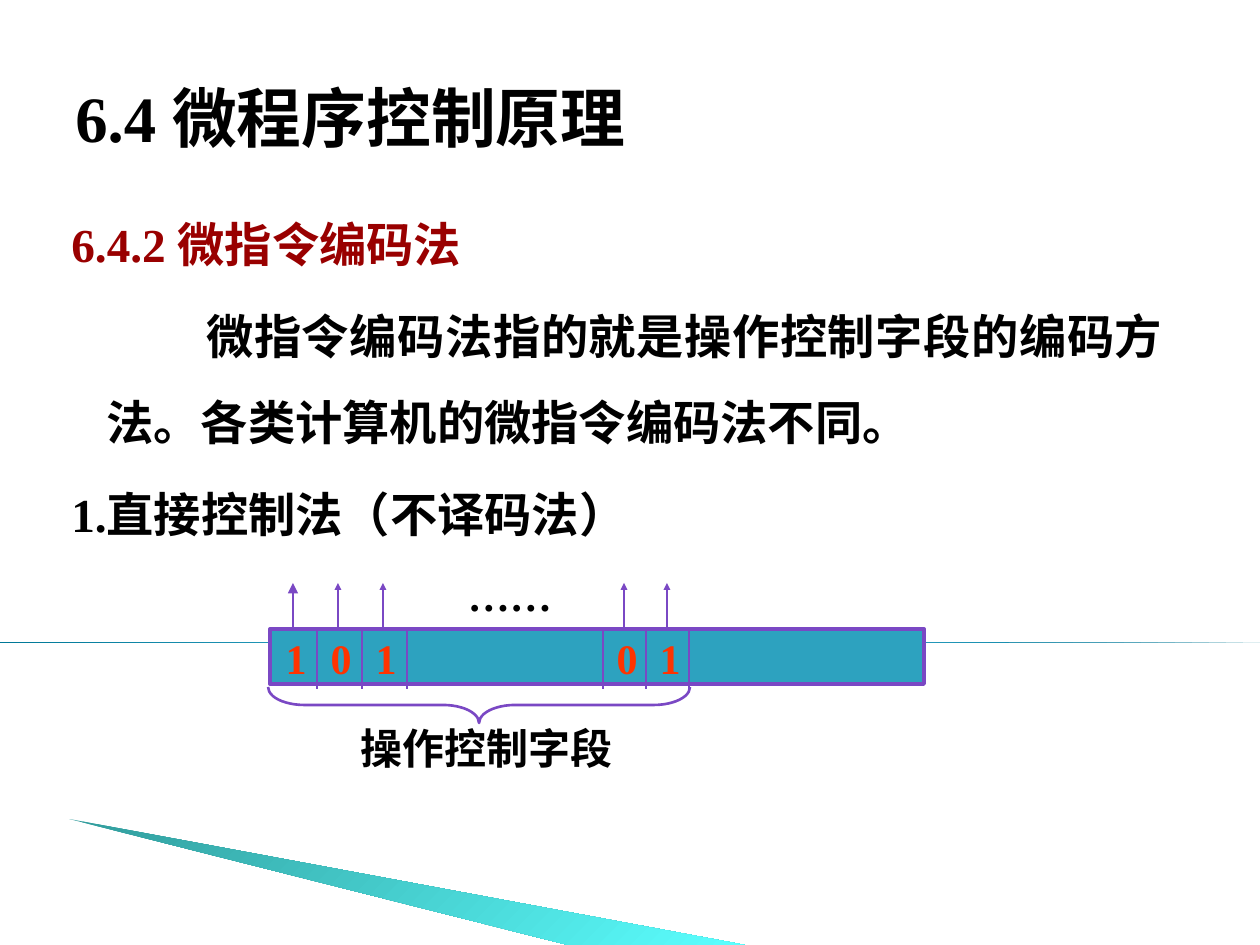
import copy
from dataclasses import dataclass

import lxml.etree
import pptx
import pptx.dml.color
import pptx.enum.shapes
import pptx.enum.text
import pptx.oxml.ns
import pptx.util

PX = 914400 / 126
ALIGN = pptx.enum.text.PP_ALIGN
SHAPE = pptx.enum.shapes.MSO_SHAPE
qn = pptx.oxml.ns.qn


@dataclass(frozen=True)
class Theme:
    latin: str = "Times New Roman"
    cjk: str = "Noto Sans CJK SC"
    ink: str = "000000"
    heading: str = "990000"
    digit: str = "FF3300"
    register: str = "2DA2BF"
    outline: str = "7A48C4"
    rule: tuple = ("007897", "4ABBE0", "007897")
    wedge: tuple = ("319C9C", "5BFFFF")
    title_size: int = 37
    body_size: int = 27
    label_size: int = 24


THEME = Theme()


def px(length):
    return pptx.util.Emu(round(length * PX))


def rgb(value):
    return pptx.dml.color.RGBColor.from_string(value)


def style(paragraph, size, color):
    for run in paragraph.runs:
        run.font.size = pptx.util.Pt(size)
        run.font.bold = True
        run.font.color.rgb = rgb(color)
        run.font.name = THEME.latin
        east_asian = lxml.etree.SubElement(run._r.get_or_add_rPr(), qn("a:ea"))
        east_asian.set("typeface", THEME.cjk)


def add_text_frame(slide, left, top, width, height):
    frame = slide.shapes.add_textbox(px(left), px(top), px(width), px(height)).text_frame
    frame.word_wrap = True
    return frame


def add_label(slide, text, center, top, width, color):
    frame = add_text_frame(slide, center - width / 2, top, width, 63)
    frame.text = text
    frame.paragraphs[0].alignment = ALIGN.CENTER
    style(frame.paragraphs[0], THEME.label_size, color)


def fill_gradient(shape, colors, angle):
    shape.shadow.inherit = False
    shape.line.fill.background()
    shape.fill.gradient()
    shape.fill.gradient_angle = angle
    stop_list = shape._element.spPr.find(".//" + qn("a:gsLst"))
    while len(stop_list) < len(colors):
        stop_list.append(copy.deepcopy(stop_list[-1]))
    for index, (stop, color) in enumerate(zip(shape.fill.gradient_stops, colors)):
        stop.position = index / (len(colors) - 1)
        stop.color.rgb = rgb(color)


def set_outline(shape, width):
    shape.line.color.rgb = rgb(THEME.outline)
    shape.line.width = pptx.util.Pt(width)


def add_line(slide, x, start, end, head=None):
    line = slide.shapes.add_connector(
        pptx.enum.shapes.MSO_CONNECTOR.STRAIGHT, px(x), px(start), px(x), px(end))
    set_outline(line, 1.5)
    properties = line._element.spPr
    if head:
        tail = lxml.etree.SubElement(properties.find(qn("a:ln")), qn("a:tailEnd"))
        for key, value in (("type", "triangle"), ("w", head), ("len", head)):
            tail.set(key, value)
    lxml.etree.SubElement(properties, qn("a:effectLst"))


def draw_background(slide, width, height):
    # Thin rule across the slide
    rule = slide.shapes.add_shape(SHAPE.RIGHT_TRIANGLE, 0, px(642), px(width), px(1))
    fill_gradient(rule, THEME.rule, 0)
    # Wedge rising from the bottom edge
    outline = slide.shapes.build_freeform(69, 819, scale=PX)
    outline.add_line_segments([(745, height), (568, height)], close=True)
    fill_gradient(outline.convert_to_shape(), THEME.wedge, 315)


def draw_title(slide, left, top, width, height):
    frame = add_text_frame(slide, left, top, width, height)
    frame.vertical_anchor = pptx.enum.text.MSO_ANCHOR.MIDDLE
    frame.text = "6.4 微程序控制原理"
    style(frame.paragraphs[0], THEME.title_size, THEME.ink)


def draw_body(slide, left, top, width, height):
    frame = add_text_frame(slide, left, top, width, height)
    # Text, colour, alignment, first-line indent
    content = (
        ("6.4.2 微指令编码法", THEME.heading, ALIGN.LEFT, -35),
        ("微指令编码法指的就是操作控制字段的编码方法。各类计算机的微指令编码法不同。",
         THEME.ink, ALIGN.JUSTIFY, 100),
        ("1.直接控制法（不译码法）", THEME.ink, ALIGN.JUSTIFY, -35),
    )
    frame.text = "\n".join(text for text, *_ in content)
    for index, (paragraph, (_, color, alignment, indent)) in enumerate(
            zip(frame.paragraphs, content)):
        paragraph.alignment = alignment
        paragraph.line_spacing = 1.5
        paragraph.space_before = pptx.util.Pt(4 if index else 0)
        properties = paragraph._p.get_or_add_pPr()
        properties.set("marL", str(px(50)))
        properties.set("indent", str(px(indent)))
        style(paragraph, THEME.body_size, color)


def draw_register(slide, left, top, width, height):
    # Microinstruction register
    register = slide.shapes.add_shape(
        SHAPE.RECTANGLE, px(left), px(top), px(width), px(height))
    register.shadow.inherit = False
    register.fill.solid()
    register.fill.fore_color.rgb = rgb(THEME.register)
    set_outline(register, 2.25)

    # Bit groups: digits, first arrow, cell pitch, first divider, divider count
    for digits, first_arrow, pitch, first_divider, dividers in (
            ("101", 23, 45, 47, 3), ("01", 354, 43, 333, 3)):
        for index in range(dividers):
            add_line(slide, left + first_divider + index * pitch, top, top + 60)
        for index, digit in enumerate(digits):
            x = left + first_arrow + index * pitch
            head = "med" if (first_arrow, index) == (23, 0) else "sm"
            add_line(slide, x, top, top - 46, head)
            add_label(slide, digit, x + 3, top - 3, 104, THEME.digit)
    add_label(slide, "……", left + 240, top - 66, 150, THEME.ink)

    # Brace under the operation control field
    span, depth = 422, 36
    middle_x, middle_y = left + 209, top + 76
    brace = slide.shapes.add_shape(
        SHAPE.RIGHT_BRACE, px(middle_x - depth / 2), px(middle_y - span / 2),
        px(depth), px(span))
    brace.rotation = 90
    brace.adjustments[0] = 1
    brace.shadow.inherit = False
    brace.fill.background()
    set_outline(brace, 1.5)
    add_label(slide, "操作控制字段", left + 217, top + 87, 289, THEME.ink)


def main():
    presentation = pptx.Presentation()
    presentation.slide_width = px(1260)
    presentation.slide_height = px(945)
    slide = presentation.slides.add_slide(presentation.slide_layouts[6])
    draw_background(slide, 1260, 945)
    draw_title(slide, 63, 38, 1134, 158)
    draw_body(slide, 44, 181, 1131, 764)
    draw_register(slide, 270, 629, 654, 55)
    presentation.save("out.pptx")


if __name__ == "__main__":
    main()
